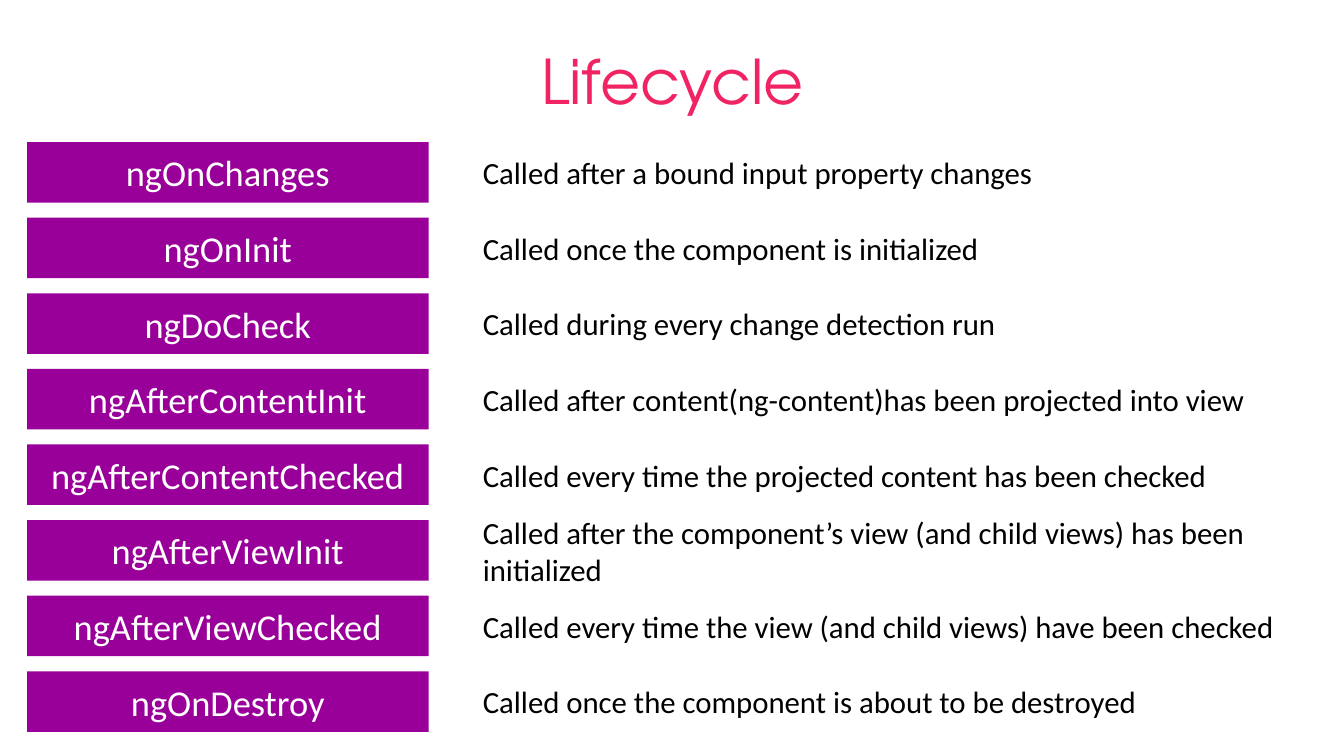
import pptx
import pptx.dml.color
import pptx.enum.shapes
import pptx.enum.text
import pptx.util

PX = 9144
TOP, PITCH, ROW_HEIGHT = 141, 75, 60
ALIGN = pptx.enum.text.PP_ALIGN
HOOKS = [
    ("ngOnChanges", "Called after a bound input property changes"),
    ("ngOnInit", "Called once the component is initialized"),
    ("ngDoCheck", "Called during every change detection run"),
    ("ngAfterContentInit", "Called after content(ng-content)has been projected into view"),
    ("ngAfterContentChecked", "Called every time the projected content has been checked"),
    ("ngAfterViewInit", "Called after the component’s view (and child views) has been initialized"),
    ("ngAfterViewChecked", "Called every time the view (and child views) have been checked"),
    ("ngOnDestroy", "Called once the component is about to be destroyed"),
]


def px(n):
    """Turn pixels into EMU."""
    return pptx.util.Emu(n * PX)


def rgb(color):
    """Turn a hex string into a colour."""
    return pptx.dml.color.RGBColor.from_string(color)


def write(sp, text, font, size, color, align):
    """Put one formatted, vertically centred paragraph into a shape."""
    tf = sp.text_frame
    tf.text = text
    tf.word_wrap = True
    tf.vertical_anchor = pptx.enum.text.MSO_ANCHOR.MIDDLE
    p = tf.paragraphs[0]
    p.alignment = align
    r = p.runs[0]
    r.font.name = font
    r.font.size = pptx.util.Pt(size)
    r.font.color.rgb = rgb(color)


def add_title(s, text):
    """Place and format the slide title."""
    sp = s.shapes.title
    sp.left, sp.top, sp.width, sp.height = px(92), px(40), px(1150), px(88)
    write(sp, text, "TeX Gyre Adventor", 44, "F02463", ALIGN.CENTER)
    sp.text_frame.paragraphs[0].line_spacing = 0.9


def add_bar(s, left, top, width, fill, text, size, color, align):
    """Add a filled bar with text."""
    kind = pptx.enum.shapes.MSO_SHAPE.ROUNDED_RECTANGLE
    sp = s.shapes.add_shape(kind, px(left), px(top), px(width), px(ROW_HEIGHT))
    sp.adjustments[0] = 0
    sp.shadow.inherit = False
    sp.fill.solid()
    sp.fill.fore_color.rgb = rgb(fill)
    sp.line.fill.background()
    write(sp, text, "Calibri", size, color, align)


def main():
    """Build the lifecycle slide."""
    prs = pptx.Presentation()
    prs.slide_width, prs.slide_height = px(1333), px(750)
    s = prs.slides.add_slide(prs.slide_layouts[5])
    add_title(s, "Lifecycle")
    for i, (hook, meaning) in enumerate(HOOKS):
        top = TOP + i * PITCH
        add_bar(s, 27, top, 398, "990099", hook, 26, "FFFFFF", ALIGN.CENTER)
        add_bar(s, 469, top, 839, "FFFFFF", meaning, 22, "000000", ALIGN.LEFT)
    prs.save("out.pptx")


if __name__ == "__main__":
    main()
